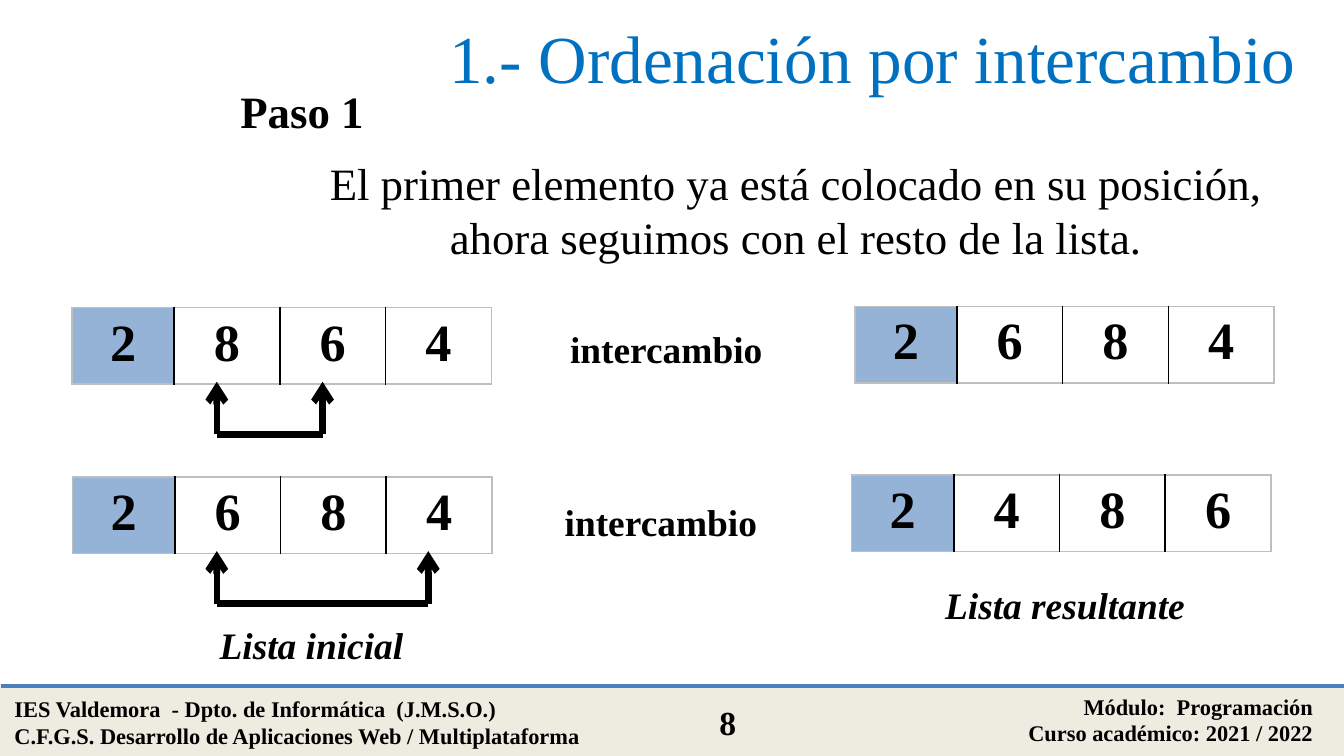
from lxml import etree
from pptx import Presentation
from pptx import util as u
from pptx.dml.color import RGBColor
from pptx.enum import shapes, text
from pptx.oxml import ns

FONT = "Times New Roman"
BLACK = RGBColor(0x00, 0x00, 0x00)
WHITE = RGBColor(0xFF, 0xFF, 0xFF)
TITLE_BLUE = RGBColor(0x00, 0x70, 0xC0)
SORTED_BLUE = RGBColor(0x95, 0xB3, 0xD7)
RULE_BLUE = RGBColor(0x4B, 0x7E, 0xBC)
FOOTER_BEIGE = RGBColor(0xEE, 0xEC, 0xE1)
EDGE_GREY = RGBColor(0xBF, 0xBF, 0xBF)

LEFT, CENTER, RIGHT = text.PP_ALIGN.LEFT, text.PP_ALIGN.CENTER, text.PP_ALIGN.RIGHT

# A 16:9 slide
presentation = Presentation()
presentation.slide_width = u.Inches(10)
presentation.slide_height = presentation.slide_width * 9 // 16
slide = presentation.slides.add_slide(presentation.slide_layouts[5])

# The slide is a grid of 100 columns by 100 rows
COLUMN = presentation.slide_width / 100
ROW = presentation.slide_height / 100


def add_label(lines, left, top, width, height, size, align=CENTER, bold=True, italic=False):
    label = slide.shapes.add_textbox(
        int(left * COLUMN), int(top * ROW), int(width * COLUMN), int(height * ROW))
    label.text_frame.word_wrap = True
    label.text_frame.text = lines
    for paragraph in label.text_frame.paragraphs:
        paragraph.alignment = align
        font = paragraph.font
        font.name, font.size, font.bold, font.italic = FONT, u.Pt(size), bold, italic
        font.color.rgb = BLACK
    return label


def add_line(x1, y1, x2, y2, color, width, arrow=False):
    line = slide.shapes.add_connector(
        shapes.MSO_CONNECTOR.STRAIGHT,
        int(x1 * COLUMN), int(y1 * ROW), int(x2 * COLUMN), int(y2 * ROW))
    line.line.color.rgb = color
    line.line.width = u.Pt(width)
    if arrow:
        etree.SubElement(line.line._get_or_add_ln(), ns.qn("a:tailEnd"), type="arrow")
    etree.SubElement(line._element.spPr, ns.qn("a:effectLst"))


# Footer band
band = slide.shapes.add_shape(
    shapes.MSO_SHAPE.RECTANGLE, int(0.1 * COLUMN), int(90.7 * ROW),
    int(100 * COLUMN), int(9.3 * ROW))
band.shadow.inherit = False
band.fill.solid()
band.fill.fore_color.rgb = FOOTER_BEIGE
band.line.color.rgb = FOOTER_BEIGE
band.line.width = u.Pt(2)
add_line(0.1, 90.7, 100.1, 90.7, RULE_BLUE, 2)
add_label("IES Valdemora  - Dpto. de Informática  (J.M.S.O.)\n"
          "C.F.G.S. Desarrollo de Aplicaciones Web / Multiplataforma",
          0.1, 91.05, 46.6, 8.95, 12, LEFT)
add_label("Módulo:  Programación\nCurso académico: 2021 / 2022",
          58.7, 90.75, 40, 8.95, 12, RIGHT)
add_label("8", 50.1, 91.95, 8.1, 7.1, 18)

# Title
title = slide.shapes.title
title.left, title.top = int(0.1 * COLUMN), 0
title.width, title.height = int(98.6 * COLUMN), int(14.9 * ROW)
title.text_frame.text = "1.- Ordenación por intercambio "
title.text_frame.vertical_anchor = text.MSO_ANCHOR.MIDDLE
paragraph = title.text_frame.paragraphs[0]
paragraph.alignment = RIGHT
paragraph.font.name, paragraph.font.size = FONT, u.Pt(36)
paragraph.font.color.rgb = TITLE_BLUE

# Step heading and explanation
add_label("Paso 1", 16.9, 10.15, 22, 8.95, 24, text.PP_ALIGN.JUSTIFY)
add_label("El primer elemento ya está colocado en su posición, "
          "ahora seguimos con el resto de la lista.",
          21.6, 19.7, 75.2, 16.15, 24, bold=False)

# Lists, each with its sorted first element shaded
CELL = 7.87
FIRST_CELL = 7.6
lists = [
    ("2864", 5.36, 40.7),
    ("2684", 5.4, 63.1),
    ("2684", 63.6, 40.55),
    ("2486", 63.37, 62.8),
]
for digits, left, top in lists:
    frame = slide.shapes.add_table(
        1, len(digits), int(left * COLUMN), int(top * ROW),
        int((FIRST_CELL + 3 * CELL) * COLUMN), int(10.13 * ROW))
    table = frame.table
    table.first_row = table.horz_banding = False
    for index, digit in enumerate(digits):
        table.columns[index].width = int((CELL if index else FIRST_CELL) * COLUMN)
        cell = table.cell(0, index)
        cell.text = digit
        cell.fill.solid()
        cell.fill.fore_color.rgb = WHITE if index else SORTED_BLUE
        paragraph = cell.text_frame.paragraphs[0]
        paragraph.alignment = CENTER
        paragraph.font.name, paragraph.font.size = FONT, u.Pt(28)
        paragraph.font.bold = True
        paragraph.font.color.rgb = BLACK
        # Grey outer edge, black dividers
        sides = [("lnL", index > 0), ("lnR", index < len(digits) - 1),
                 ("lnT", False), ("lnB", False)]
        for position, (side, inner) in enumerate(sides):
            border = etree.Element(ns.qn("a:" + side), w=str(u.Pt(1)))
            fill = etree.SubElement(border, ns.qn("a:solidFill"))
            etree.SubElement(fill, ns.qn("a:srgbClr"), val=str(BLACK if inner else EDGE_GREY))
            cell._tc.get_or_add_tcPr().insert(position, border)

# Swap brackets under the lists on the left
for (digits, left, top), cells_apart in zip(lists[:2], (1, 2)):
    start = 16.13
    end = start + cells_apart * CELL
    bottom = top + 16.75
    for x in (start, end):
        add_line(x, bottom, x, top + 9.8, BLACK, 3.5, arrow=True)
    add_line(start, bottom, end, bottom, BLACK, 3.5)

# Captions
for left, top in ((39.33, 41.75), (38.93, 64.55)):
    swap = add_label("intercambio", left, top, 20.5, 8.35, 20)
    swap.text_frame.margin_top = u.Inches(0.08)
add_label("Lista inicial", 7.43, 81.45, 31.5, 7.8, 20, italic=True)
add_label("Lista resultante", 63.65, 76.1, 31.2, 7.8, 20, italic=True)

presentation.save("out.pptx")
